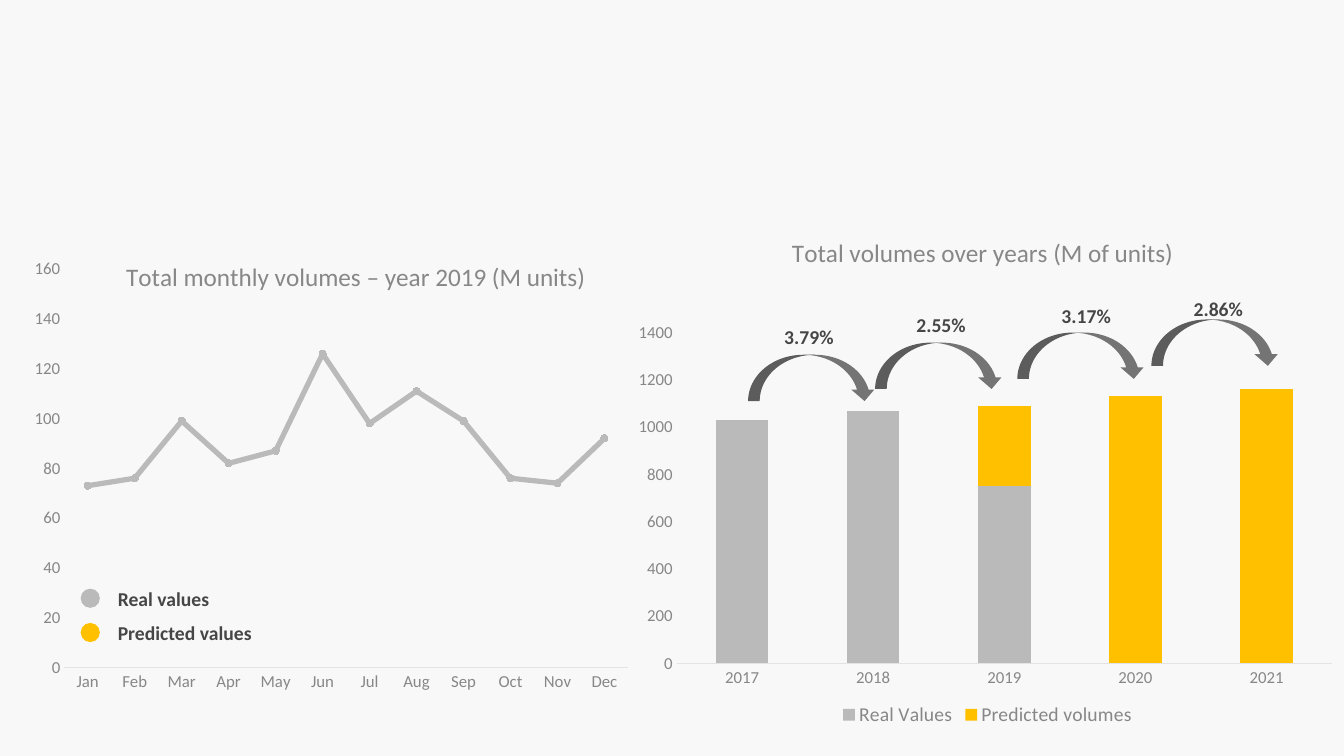
from lxml.etree import SubElement
from pptx import Presentation
from pptx.chart.data import CategoryChartData as Data
from pptx.dml.color import RGBColor as Rgb
from pptx.enum.chart import XL_CHART_TYPE as Kind, XL_LEGEND_POSITION as Place
from pptx.enum.chart import XL_MARKER_STYLE as Mark, XL_TICK_MARK as Tick
from pptx.enum.shapes import MSO_SHAPE as Form
from pptx.enum.text import MSO_AUTO_SIZE as Fit
from pptx.oxml.ns import qn
from pptx.util import Inches, Pt

COLORS = {"back": "F8F8F8", "real": "BABABA", "guess": "FFC000", "text": "464646",
          "soft": "878787", "rule": "E3E3E3", "arrow": "747474"}


class Board:
    font = "Calibri"

    def __init__(self, slide):
        self.slide = slide
        self.shapes = slide.shapes
        self.paint(slide.background.fill, "back")

    def paint(self, fill, color):
        fill.solid()
        fill.fore_color.rgb = Rgb.from_string(COLORS[color])

    def style(self, font, size, color, bold=False):
        font.name = self.font
        font.size = Pt(size)
        font.bold = bold
        font.color.rgb = Rgb.from_string(COLORS[color])

    def shape(self, form, box, color):
        shape = self.shapes.add_shape(form, *map(Inches, box))
        shape.shadow.inherit = False
        self.paint(shape.fill, color)
        shape.line.fill.background()
        return shape

    def arrow(self, left, top):
        arrow = self.shape(Form.CURVED_UP_ARROW, (left, top, 1.27, 0.46), "arrow")
        arrow._element.spPr.find(qn("a:xfrm")).set("flipV", "1")

    def label(self, text, box):
        frame = self.shapes.add_textbox(*map(Inches, box)).text_frame
        frame.word_wrap = True
        frame.auto_size = Fit.SHAPE_TO_FIT_TEXT
        line = frame.paragraphs[0]
        line.text = text
        self.style(line.font, 14, "text", True)

    def layout(self, parent, **spots):
        old = parent.find(qn("c:layout"))
        if old is not None:
            parent.remove(old)
        node = parent.makeelement(qn("c:layout"))
        if parent.tag == qn("c:title"):
            parent.find(qn("c:tx")).addnext(node)
        else:
            parent.insert(0, node)
        manual = SubElement(node, qn("c:manualLayout"))
        for key, value in spots.items():
            SubElement(manual, qn("c:" + key)).set("val", str(value))

    def chart(self, kind, box, names, series, title, spot, plot, top, step):
        data = Data()
        data.categories = names
        for name, values in series:
            data.add_series(name, values)
        chart = self.shapes.add_chart(kind, *map(Inches, box), data).chart
        self.style(chart.font, 10, "text")
        chart.has_legend = False
        chart.has_title = True
        line = chart.chart_title.text_frame.paragraphs[0]
        line.text = title
        self.style(line.font, 18, "soft")
        chart.chart_title.include_in_layout = False
        self.layout(chart.chart_title._element, xMode="edge", yMode="edge",
                    x=spot[0], y=spot[1])
        area = chart._chartSpace.chart.plotArea
        self.layout(area, layoutTarget="inner", xMode="edge", yMode="edge",
                    **dict(zip("xywh", plot)))
        for axis in (chart.category_axis, chart.value_axis):
            axis.has_major_gridlines = False
            axis.major_tick_mark = axis.minor_tick_mark = Tick.NONE
            self.style(axis.tick_labels.font, 12, "soft")
        edge = chart.category_axis.format.line
        self.paint(edge.fill, "rule")
        edge.width = Pt(0.75)
        scale = chart.value_axis
        scale.format.line.fill.background()
        scale.minimum_scale, scale.maximum_scale, scale.major_unit = 0, top, step
        chart.plots[0].vary_by_categories = False
        return chart

    def dot(self, marker, color):
        marker.style = Mark.CIRCLE
        marker.size = 5
        self.paint(marker.format.fill, color)
        marker.format.line.fill.background()

    def trend(self, chart, first):
        row = chart.plots[0].series[0]
        row.smooth = False
        self.paint(row.format.line.fill, "real")
        row.format.line.width = Pt(3.75)
        self.dot(row.marker, "real")
        for month in range(first, len(row.values)):
            point = row.points[month]
            self.dot(point.marker, "guess")
            self.paint(point.format.line.fill, "real")
            point.format.line.width = Pt(3.75)

    def stack(self, chart):
        plot = chart.plots[0]
        plot.gap_width, plot.overlap = 150, 100
        for row, color in zip(plot.series, ("real", "guess")):
            self.paint(row.format.fill, color)
        chart.has_legend = True
        chart.legend.position = Place.BOTTOM
        chart.legend.include_in_layout = False
        self.style(chart.legend.font, 14, "soft")


def main():
    deck = Presentation()
    deck.slide_width, deck.slide_height = Inches(13.33), Inches(7.5)
    board = Board(deck.slides.add_slide(deck.slide_layouts[6]))

    months = "Jan Feb Mar Apr May Jun Jul Aug Sep Oct Nov Dec".split()
    units = (73, 76, 99, 82, 87, 126, 98, 111, 99, 76, 74, 92)
    board.trend(board.chart(
        Kind.LINE_MARKERS, (0.27, 2.34, 6.68, 4.59), months, [("Series 1", units)],
        "Total monthly volumes – year 2019 (M units)", (0.14, 0.04),
        (0.055, 0.072, 0.837, 0.861), 160, 20), months.index("Sep"))

    keys = (("Real values", "real", 1.48), ("Predicted values", "guess", 1.66))
    for row, (text, color, width) in enumerate(keys):
        drop = 0.34 * row
        board.shape(Form.OVAL, (0.8, 5.84 + drop, 0.19, 0.19), color)
        board.label(text, (1.07, 5.77 + drop, width, 0.34))

    years = ("2017", "2018", "2019", "2020", "2021")
    board.stack(board.chart(
        Kind.COLUMN_STACKED, (6.25, 2.08, 7.09, 5.17), years,
        [("Real Values", (1030, 1070, 750, None, None)),
         ("Predicted volumes", (None, None, 340, 1130, 1160))],
        "Total volumes over years (M of units)", (0.22, 0.04),
        (0.065, 0.236, 0.917, 0.635), 1400, 200))

    growth = (("3.79%", 7.42, 3.52, 7.68, 3.17), ("2.55%", 8.68, 3.4, 8.99, 3.06),
              ("3.17%", 10.09, 3.3, 10.43, 2.97), ("2.86%", 11.42, 3.17, 11.74, 2.9))
    for text, left, top, side, head in growth:
        board.arrow(left, top)
        board.label(text, (side, head, 0.83, 0.32))

    deck.save("out.pptx")


if __name__ == "__main__":
    main()
